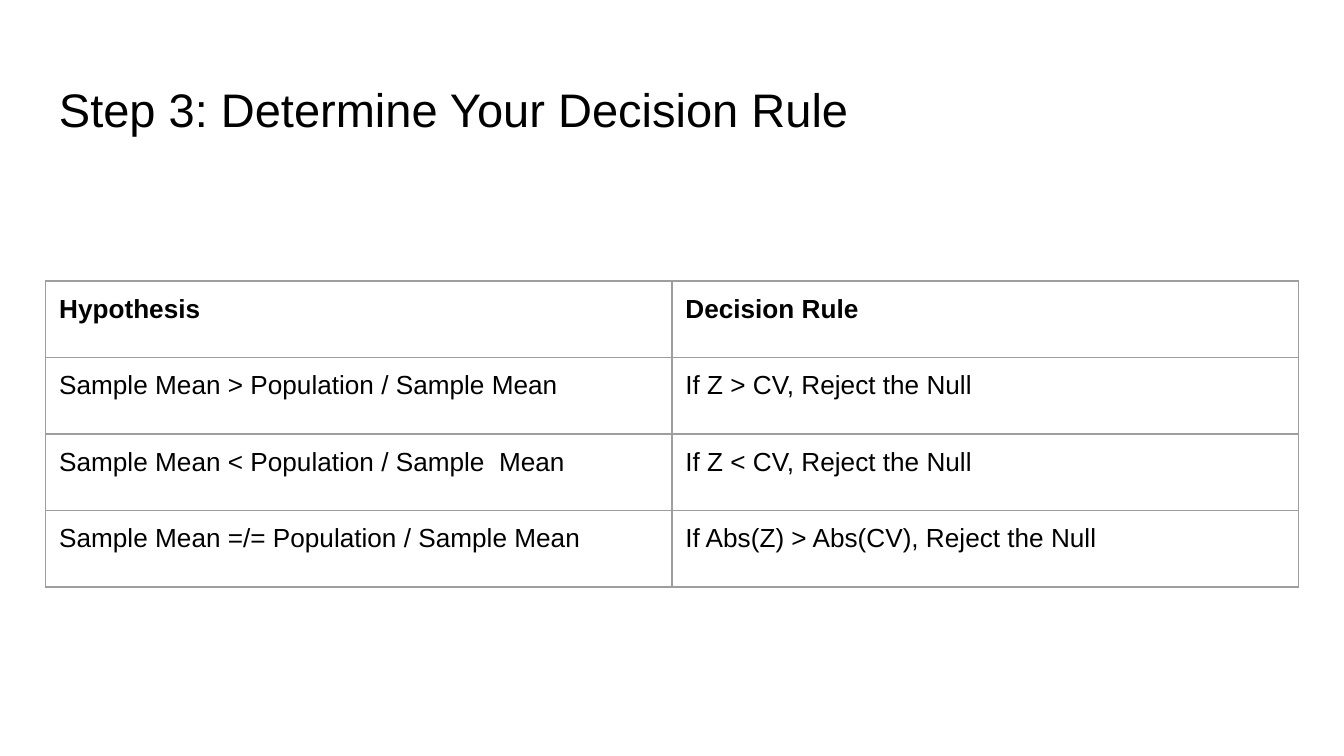
import dataclasses

import lxml.etree
import pptx
import pptx.dml.color
import pptx.enum.text
import pptx.oxml.ns
import pptx.util


@dataclasses.dataclass(frozen=True)
class Theme:
    """Colours, type sizes and lengths in points."""

    font: str = "Arial"
    ink: str = "000000"
    rule: str = "9E9E9E"
    title_size: float = 25.2
    body_size: float = 14
    rule_width: float = 0.75
    inset: float = 7.2


class SlideBuilder:
    """Holds the theme and the current slide."""

    def __init__(self, slide, theme):
        """Keep the slide and theme for every element."""
        self.slide = slide
        self.theme = theme

    def add_wording(self, paragraph, wording, size, bold=False):
        """Add one styled run of text."""
        run = paragraph.add_run()
        run.text = wording
        style = {"name": self.theme.font, "size": pptx.util.Pt(size), "bold": bold}
        for attribute, value in style.items():
            setattr(run.font, attribute, value)
        run.font.color.rgb = pptx.dml.color.RGBColor.from_string(self.theme.ink)

    def pad(self, holder):
        """Give a text frame or cell equal margins."""
        for side in ("left", "right", "top", "bottom"):
            setattr(holder, f"margin_{side}", pptx.util.Pt(self.theme.inset))

    def title(self, wording, left, top, width, height):
        """Add the slide heading."""
        heading = self.slide.shapes.add_textbox(
            *map(pptx.util.Pt, (left, top, width, height))
        ).text_frame
        layout = {
            "word_wrap": True,
            "vertical_anchor": pptx.enum.text.MSO_ANCHOR.MIDDLE,
        }
        for attribute, value in layout.items():
            setattr(heading, attribute, value)
        self.pad(heading)
        self.add_wording(heading.paragraphs[0], wording, self.theme.title_size)

    def outline(self, cell):
        """Draw thin rules on all four sides of a cell."""
        qn = pptx.oxml.ns.qn
        properties = cell._tc.get_or_add_tcPr()
        width = str(int(pptx.util.Pt(self.theme.rule_width)))
        for position, side in enumerate(("lnL", "lnR", "lnT", "lnB")):
            border = lxml.etree.Element(qn(f"a:{side}"), w=width)
            fill = lxml.etree.SubElement(border, qn("a:solidFill"))
            lxml.etree.SubElement(fill, qn("a:srgbClr"), val=self.theme.rule)
            properties.insert(position, border)

    def table(self, rows, left, top, width, row_height):
        """Add a ruled table with a bold header row."""
        grid = self.slide.shapes.add_table(
            len(rows), len(rows[0]),
            *map(pptx.util.Pt, (left, top, width, row_height * len(rows))),
        ).table
        for flag in ("first_row", "horz_banding"):
            setattr(grid, flag, False)
        for row_index, row in enumerate(rows):
            for column_index, wording in enumerate(row):
                cell = grid.cell(row_index, column_index)
                cell.fill.background()
                self.pad(cell)
                self.outline(cell)
                self.add_wording(
                    cell.text_frame.paragraphs[0], wording,
                    self.theme.body_size, bold=row_index == 0,
                )


def main():
    """Build and save the decision rule slide."""
    presentation = pptx.Presentation()
    presentation.slide_width = pptx.util.Pt(720)
    presentation.slide_height = pptx.util.Pt(405)
    builder = SlideBuilder(
        presentation.slides.add_slide(presentation.slide_layouts[6]), Theme()
    )
    left, width = 24.5, 671
    builder.title("Step 3: Determine Your Decision Rule", left, 35.5, width, 45)
    decision_rules = [
        ("Hypothesis", "Decision Rule"),
        ("Sample Mean > Population / Sample Mean", "If Z > CV, Reject the Null"),
        ("Sample Mean < Population / Sample  Mean", "If Z < CV, Reject the Null"),
        ("Sample Mean =/= Population / Sample Mean",
         "If Abs(Z) > Abs(CV), Reject the Null"),
    ]
    builder.table(decision_rules, left, 150.5, width, 41)
    presentation.save("out.pptx")


if __name__ == "__main__":
    main()
